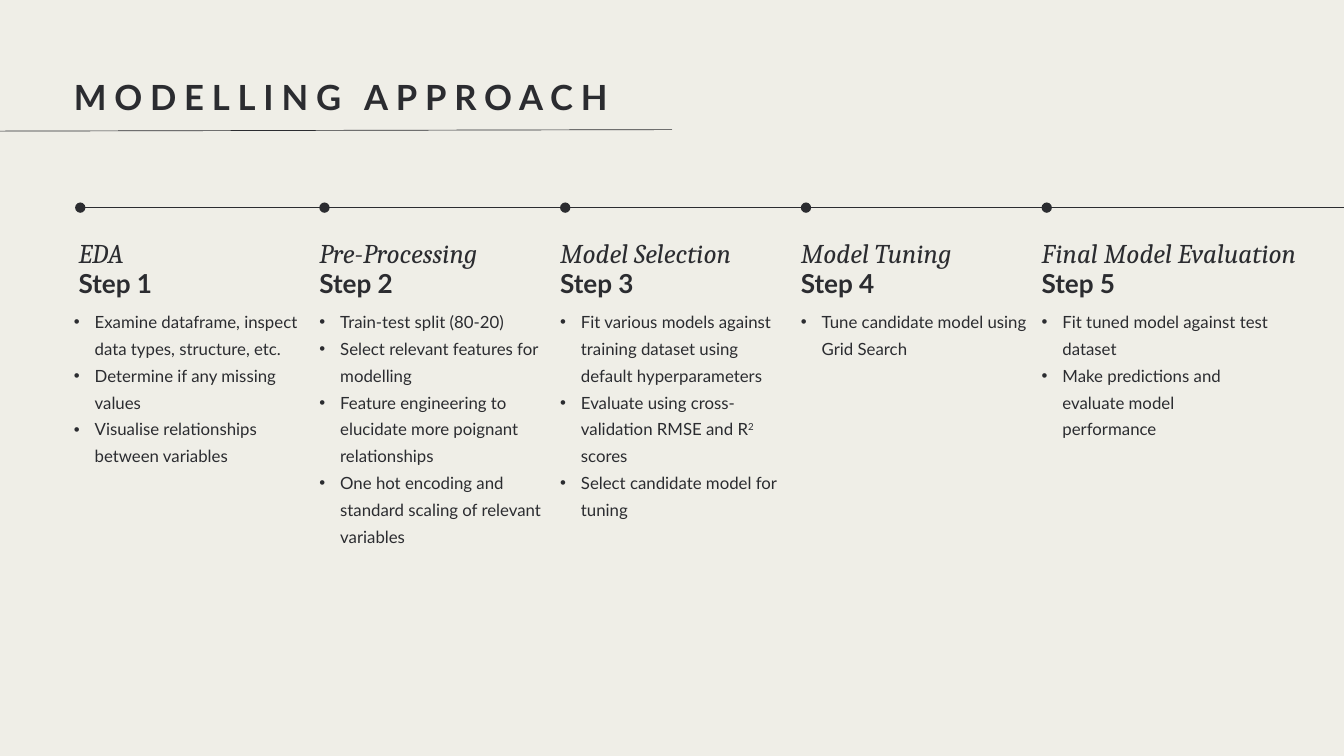
from lxml import etree
from pptx import Presentation
from pptx.dml.color import RGBColor
from pptx.enum.shapes import MSO_CONNECTOR, MSO_SHAPE
from pptx.enum.text import MSO_AUTO_SIZE
from pptx.oxml.ns import qn
from pptx.util import Cm, Pt

STRAIGHT = MSO_CONNECTOR.STRAIGHT
OVAL = MSO_SHAPE.OVAL
FIT_SHAPE = MSO_AUTO_SIZE.SHAPE_TO_FIT_TEXT

INK = RGBColor(0x2B, 0x2C, 0x30)
PAPER = RGBColor(0xEF, 0xEE, 0xE7)
SANS, SERIF = "Lato", "Cambria"

# Layout in centimetres
FIRST_COLUMN, COLUMN_PITCH = 2.97, 9.1
TIMELINE_Y, DOT_SIZE = 7.85, 0.39
COLUMN_WIDTH, BODY_WIDTH = 7.75, 8.59
BULLET_INDENT = 0.79

# Phase, its heading width, and its points; "^" encloses superscript text
STEPS = [
    ("EDA", COLUMN_WIDTH, 7.11, [
        "Examine dataframe, inspect data types, structure, etc.",
        "Determine if any missing values",
        "Visualise relationships between variables"]),
    ("Pre-Processing", COLUMN_WIDTH, 10.21, [
        "Train-test split (80-20)",
        "Select relevant features for modelling",
        "Feature engineering to elucidate more poignant relationships",
        "One hot encoding and standard scaling of relevant variables"]),
    ("Model Selection", 8.89, 8.15, [
        "Fit various models against training dataset using default hyperparameters",
        "Evaluate using cross-validation RMSE and R^2 ^scores",
        "Select candidate model for tuning"]),
    ("Model Tuning", COLUMN_WIDTH, 1.96, [
        "Tune candidate model using Grid Search"]),
    ("Final Model Evaluation", 10.59, 5.05, [
        "Fit tuned model against test dataset",
        "Make predictions and evaluate model performance"]),
]


def add_text_frame(slide, left, top, width, height):
    box = slide.shapes.add_textbox(Cm(left), Cm(top), Cm(width), Cm(height))
    frame = box.text_frame
    frame.margin_left = frame.margin_right = 0
    frame.margin_top = frame.margin_bottom = 0
    frame.word_wrap = True
    frame.auto_size = FIT_SHAPE
    return frame


def add_run(paragraph, text, size, font=SANS, bold=False, italic=False):
    run = paragraph.add_run()
    run.text = text
    run.font.name = font
    run.font.size = Pt(size)
    run.font.bold = bold
    run.font.italic = italic
    run.font.color.rgb = INK
    return run


def add_heading(slide, text, left, top, width, height, size, leading, **style):
    frame = add_text_frame(slide, left, top, width, height)
    paragraph = frame.paragraphs[0]
    paragraph.line_spacing = Pt(leading)
    return add_run(paragraph, text, size, **style)


def add_bullets(slide, points, left, top, height):
    frame = add_text_frame(slide, left, top, BODY_WIDTH, height)
    for index, point in enumerate(points):
        paragraph = frame.paragraphs[0] if index == 0 else frame.add_paragraph()
        paragraph.line_spacing = Pt(28.8)
        properties = paragraph._p.get_or_add_pPr()
        properties.set("marL", str(Cm(BULLET_INDENT)))
        properties.set("indent", str(-Cm(BULLET_INDENT)))
        etree.SubElement(properties, qn("a:buFont")).set("typeface", "Arial")
        etree.SubElement(properties, qn("a:buChar")).set("char", "•")
        for part, text in enumerate(point.split("^")):
            run = add_run(paragraph, text, 18)
            if part % 2:
                run._r.get_or_add_rPr().set("baseline", "30000")


def add_line(slide, x1, y1, x2, y2):
    line = slide.shapes.add_connector(STRAIGHT, Cm(x1), Cm(y1), Cm(x2), Cm(y2))
    line.line.color.rgb = INK
    line.line.width = Pt(0.75)
    etree.SubElement(line._element.spPr, qn("a:effectLst"))


def add_dot(slide, left):
    dot = slide.shapes.add_shape(OVAL, Cm(left), Cm(TIMELINE_Y - DOT_SIZE / 2),
                                 Cm(DOT_SIZE), Cm(DOT_SIZE))
    dot.shadow.inherit = False
    dot.fill.solid()
    dot.fill.fore_color.rgb = INK
    dot.line.fill.background()


def main():
    deck = Presentation()
    deck.slide_width, deck.slide_height = Cm(50.8), Cm(28.58)
    slide = deck.slides.add_slide(deck.slide_layouts[6])
    slide.background.fill.solid()
    slide.background.fill.fore_color.rgb = PAPER

    # Title with its underline running in from the left edge
    title = add_heading(slide, "MODELLING APPROACH", 2.79, 2.62, 45.09, 1.7,
                        37.1, 52, bold=True)
    title._r.get_or_add_rPr().set("spc", "840")
    add_line(slide, -19.69, 5, 25.4, 4.9)

    # One column per step
    for index, (phase, phase_width, body_height, points) in enumerate(STEPS):
        left = FIRST_COLUMN + index * COLUMN_PITCH
        # The first column's bullets and dot sit slightly further left
        body_left, dot_left = (left, left) if index else (2.79, 2.84)
        add_bullets(slide, points, body_left, 11.53, body_height)
        add_heading(slide, phase, left, 8.94, phase_width, 1.17, 29, 34.8,
                    font=SERIF, italic=True)
        add_heading(slide, f"Step {index + 1}", left, 10.11, COLUMN_WIDTH, 1.14,
                    28, 33.6, bold=True)
        add_dot(slide, dot_left)

    # Timeline running off to the right
    add_line(slide, 3.12, TIMELINE_Y, 51.46, TIMELINE_Y)

    deck.save("out.pptx")


if __name__ == "__main__":
    main()
